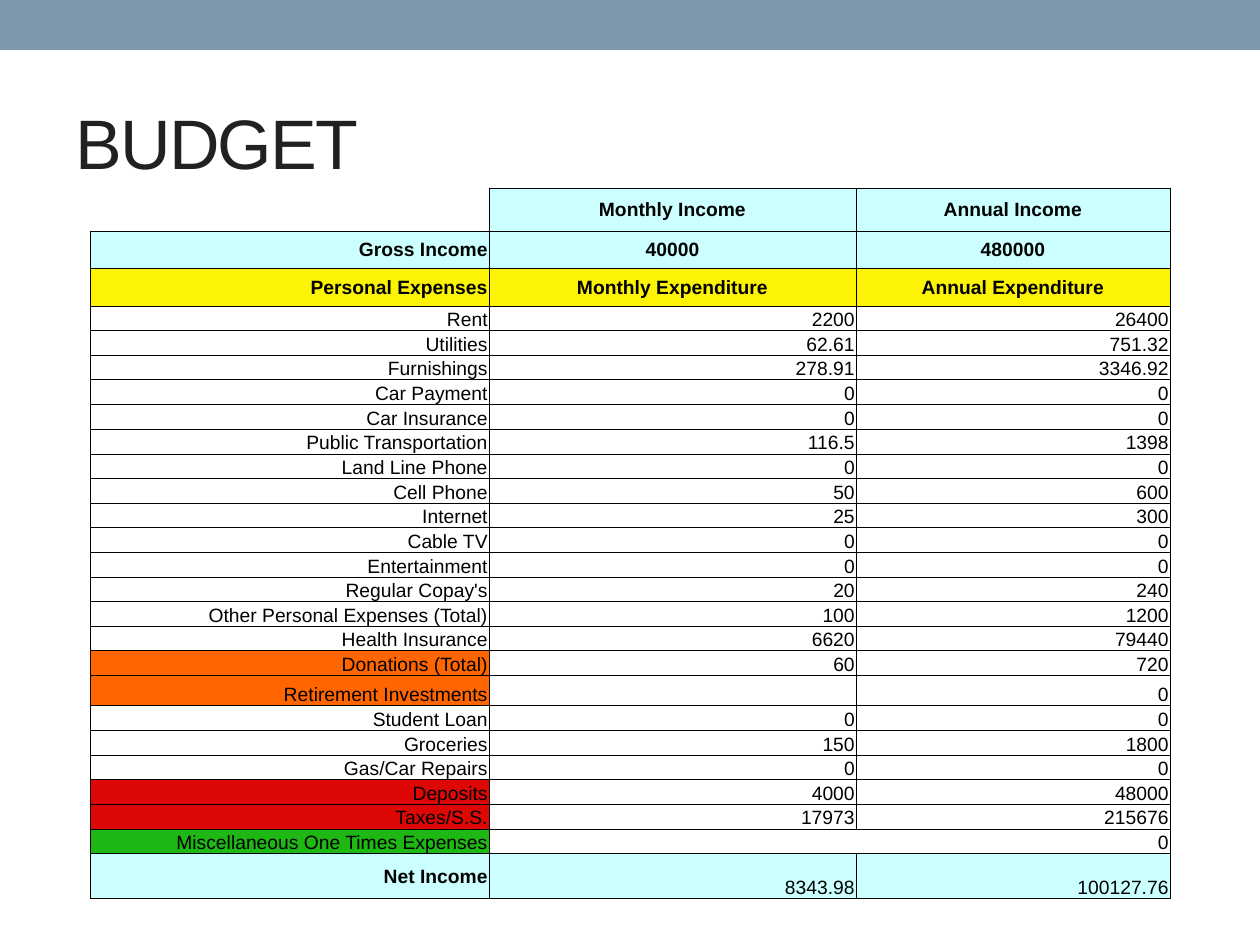
from lxml import etree
from pptx import Presentation
from pptx import util as u
from pptx.dml.color import RGBColor
from pptx.enum import shapes, text
from pptx.oxml.ns import qn

PX = 914400 // 126
FONT, BODY_SIZE = "Arial", 11
CYAN, YELLOW, ORANGE, RED, GREEN = "CCFFFF", "FCF305", "FF6600", "DD0806", "1FB714"
LEFT, CENTER, RIGHT = text.PP_ALIGN.LEFT, text.PP_ALIGN.CENTER, text.PP_ALIGN.RIGHT
MIDDLE, BOTTOM = text.MSO_ANCHOR.MIDDLE, text.MSO_ANCHOR.BOTTOM

HEADINGS = [
    ("", "Monthly Income", "Annual Income"),
    ("Gross Income", "40000", "480000"),
    ("Personal Expenses", "Monthly Expenditure", "Annual Expenditure"),
]
EXPENSES = [
    ("Rent", "2200", "26400"),
    ("Utilities", "62.61", "751.32"),
    ("Furnishings", "278.91", "3346.92"),
    ("Car Payment", "0", "0"),
    ("Car Insurance", "0", "0"),
    ("Public Transportation", "116.5", "1398"),
    ("Land Line Phone", "0", "0"),
    ("Cell Phone", "50", "600"),
    ("Internet", "25", "300"),
    ("Cable TV", "0", "0"),
    ("Entertainment", "0", "0"),
    ("Regular Copay's", "20", "240"),
    ("Other Personal Expenses (Total)", "100", "1200"),
    ("Health Insurance", "6620", "79440"),
    ("Donations (Total)", "60", "720"),
    ("Retirement Investments", "", "0"),
    ("Student Loan", "0", "0"),
    ("Groceries", "150", "1800"),
    ("Gas/Car Repairs", "0", "0"),
    ("Deposits", "4000", "48000"),
    ("Taxes/S.S.", "17973", "215676"),
    ("Miscellaneous One Times Expenses", "0", ""),
]
NET_INCOME = ("Net Income", "8343.98", "100127.76")
LABEL_FILLS = {
    "Donations (Total)": ORANGE,
    "Retirement Investments": ORANGE,
    "Deposits": RED,
    "Taxes/S.S.": RED,
    "Miscellaneous One Times Expenses": GREEN,
}
COLUMN_WIDTHS = [399, 367, 314]
HEADING_HEIGHTS = [43, 37, 38]
EXPENSE_HEIGHT, RETIREMENT_HEIGHT, NET_HEIGHT = 24.44, 30, 45


def px(length):
    return u.Emu(round(length * PX))


def rgb(value):
    return RGBColor.from_string(value)


def write(frame, words, size=BODY_SIZE, color="000000", bold=False, align=LEFT, spacing=0):
    """Put one formatted line in a text frame; spacing is in points."""
    line = frame.paragraphs[0]
    line.alignment = align
    if not words:
        etree.SubElement(line._p, qn("a:endParaRPr"), sz=str(size * 100))
        return
    run = line.add_run()
    run.text = words
    run.font.name, run.font.size, run.font.bold = FONT, u.Pt(size), bold
    run.font.color.rgb = rgb(color)
    if spacing:
        run._r.get_or_add_rPr().set("spc", str(spacing * 100))


def border(cell, sides="LRTB", color="000000"):
    """Rule the given sides of a cell and leave the others open."""
    properties = cell._tc.get_or_add_tcPr()
    for side in "LRTB":
        line = etree.SubElement(properties, qn(f"a:ln{side}"), w=str(u.Pt(0.5)))
        if side in sides:
            solid = etree.SubElement(line, qn("a:solidFill"))
            etree.SubElement(solid, qn("a:srgbClr"), val=color)
        else:
            etree.SubElement(line, qn("a:noFill"))


class Deck:
    """The presentation, its style and the current slide."""

    def __init__(self, width, height):
        self.presentation = Presentation()
        self.presentation.slide_width = px(width)
        self.presentation.slide_height = px(height)
        self.slide = self.presentation.slides.add_slide(self.presentation.slide_layouts[6])

    def bar(self, left, top, width, height, color):
        band = self.slide.shapes.add_shape(
            shapes.MSO_SHAPE.RECTANGLE, px(left), px(top), px(width), px(height))
        band.shadow.inherit = False
        band.fill.solid()
        band.fill.fore_color.rgb = rgb(color)
        band.line.fill.background()

    def title(self, words, left, top, width, height):
        frame = self.slide.shapes.add_textbox(
            px(left), px(top), px(width), px(height)).text_frame
        frame.word_wrap = True
        frame.vertical_anchor = MIDDLE
        write(frame, words, size=40, color="1F2123", spacing=-1)

    def table(self, left, top, widths, heights):
        grid = self.slide.shapes.add_table(
            len(heights), len(widths), px(left), px(top),
            px(sum(widths)), px(sum(heights))).table
        grid.first_row = grid.horz_banding = False
        for column, width in zip(grid.columns, widths):
            column.width = px(width)
        for row, height in zip(grid.rows, heights):
            row.height = px(height)
        return grid

    def cell(self, cell, words, fill=None, anchor=BOTTOM, sides="LRTB", **style):
        cell.margin_left = cell.margin_right = cell.margin_top = u.Inches(0.01)
        cell.margin_bottom = 0
        cell.vertical_anchor = anchor
        border(cell, sides)
        if fill:
            cell.fill.solid()
            cell.fill.fore_color.rgb = rgb(fill)
        else:
            cell.fill.background()
        write(cell.text_frame, words, **style)

    def save(self):
        self.presentation.save("out.pptx")


def expense_heights():
    """Whole-pixel heights whose running total follows EXPENSE_HEIGHT."""
    edges = [round(i * EXPENSE_HEIGHT) for i in range(len(EXPENSES) + 1)]
    heights = [below - above for above, below in zip(edges, edges[1:])]
    labels = [label for label, *_ in EXPENSES]
    heights[labels.index("Retirement Investments")] = RETIREMENT_HEIGHT
    return heights


def main():
    deck = Deck(1260, 945)
    deck.bar(0, 0, 1260, 50, "7E97AD")
    deck.title("BUDGET", 63, 73, 1134, 136)

    rows = HEADINGS + EXPENSES + [NET_INCOME]
    heights = HEADING_HEIGHTS + expense_heights() + [NET_HEIGHT]
    budget = deck.table(90, 188, COLUMN_WIDTHS, heights)
    net = len(rows) - 1
    for r, row in enumerate(rows):
        heading = r < len(HEADINGS)
        for c, words in enumerate(row):
            corner = r == c == 0
            strong = heading or (r == net and c == 0)
            if heading or r == net:
                fill = YELLOW if row[0] == "Personal Expenses" else CYAN
            else:
                fill = LABEL_FILLS.get(row[0]) if c == 0 else None
            deck.cell(
                budget.cell(r, c), words,
                fill=None if corner else fill,
                anchor=MIDDLE if strong else BOTTOM,
                sides="RB" if corner else "LRTB",
                bold=strong,
                align=CENTER if heading and c else RIGHT)
    budget.cell(net - 1, 1).merge(budget.cell(net - 1, 2))
    deck.save()


if __name__ == "__main__":
    main()
